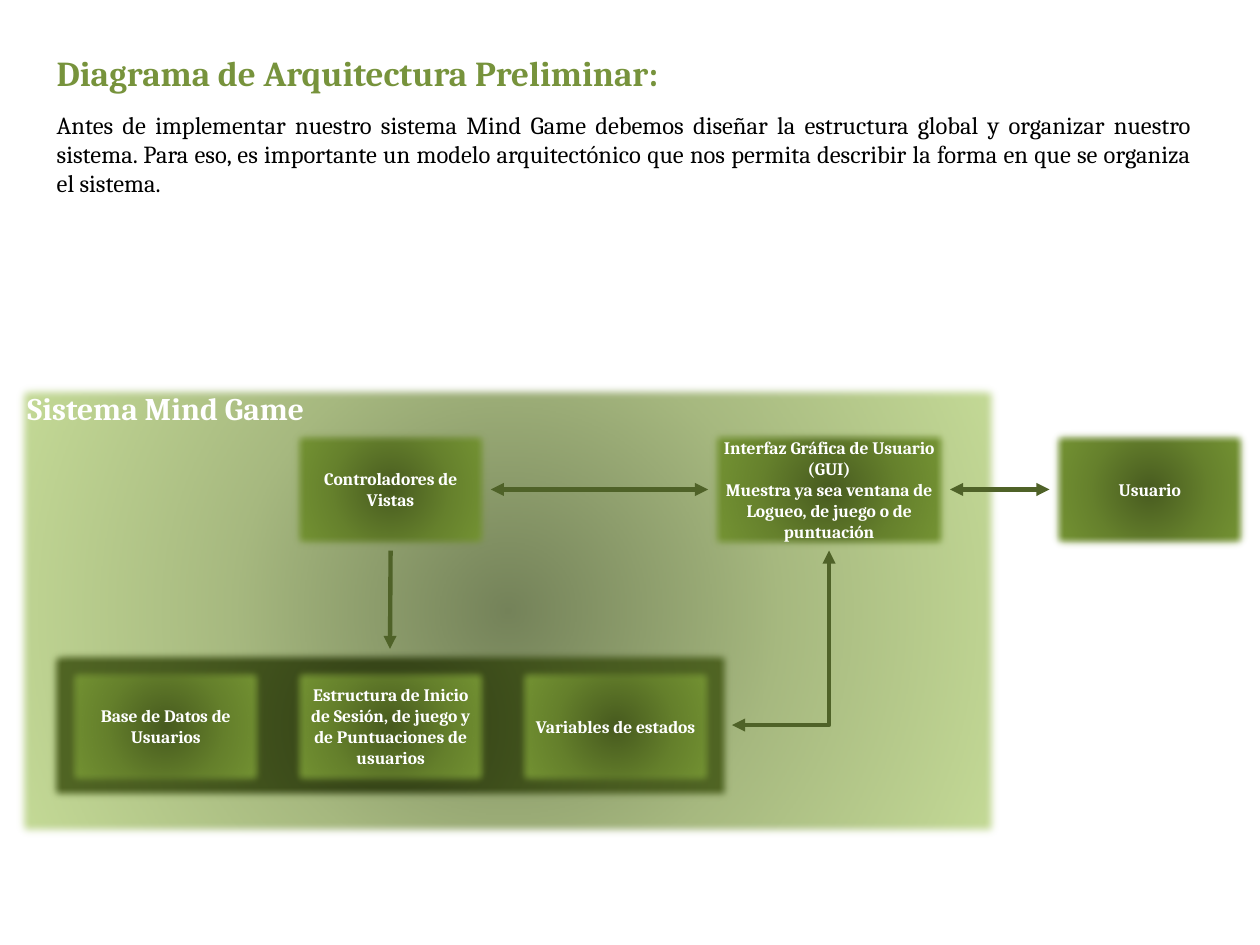
from dataclasses import dataclass

from lxml import etree
from pptx import Presentation
from pptx import util as u
from pptx.dml.color import RGBColor
from pptx.enum import shapes, text
from pptx.oxml import ns, parse_xml


@dataclass(frozen=True)
class Theme:
    font: str = "Cambria"
    heading: str = "77933C"
    ink: str = "000000"
    light: str = "FFFFFF"
    arrow: str = "4F6228"
    # Radial gradients from centre to edge, with the outline colour last
    system: tuple = ("748259", "A6B87F", "C5DB97", "C3D69B")
    module: tuple = ("485B20", "66812D", "799936", "77933C")
    storage: tuple = ("303D15", "44561E", "516624", "4F6228")
    title_size: float = 20
    body_size: float = 14
    label_size: float = 18
    module_size: float = 10
    outline: float = 2
    arrow_width: float = 2.5
    soft_edge: float = 5


class ArchitectureSlide:
    """Places elements on a grid of 100 columns by 75 rows."""

    COLUMNS, ROWS = 100, 75

    def __init__(self, presentation, theme):
        self.theme = theme
        self.cell_width = presentation.slide_width / self.COLUMNS
        self.cell_height = presentation.slide_height / self.ROWS
        self.slide = presentation.slides.add_slide(presentation.slide_layouts[1])

    def box(self, column, row, columns, rows):
        return (round(column * self.cell_width), round(row * self.cell_height),
                round(columns * self.cell_width), round(rows * self.cell_height))

    def fill_text(self, shape, content, size, color, bold=True,
                  align=text.PP_ALIGN.LEFT, anchor=text.MSO_ANCHOR.TOP):
        frame = shape.text_frame
        frame.text = content
        frame.word_wrap = True
        frame.auto_size = text.MSO_AUTO_SIZE.NONE
        frame.vertical_anchor = anchor
        for paragraph in frame.paragraphs:
            paragraph.alignment = align
            paragraph.space_before = u.Pt(0)
            for run in paragraph.runs:
                run.font.name = self.theme.font
                run.font.size = u.Pt(size)
                run.font.bold = bold
                run.font.color.rgb = RGBColor.from_string(color)

    def placeholder(self, index, cells, content, size, color, **style):
        shape = self.slide.placeholders[index]
        shape.left, shape.top, shape.width, shape.height = self.box(*cells)
        self.fill_text(shape, content, size, color, **style)
        for paragraph in shape.text_frame.paragraphs:
            properties = paragraph._p.get_or_add_pPr()
            properties.set("marL", "0")
            properties.set("indent", "0")
            etree.SubElement(properties, ns.qn("a:buNone"))

    def label(self, cells, content):
        shape = self.slide.shapes.add_textbox(*self.box(*cells))
        self.fill_text(shape, content, self.theme.label_size, self.theme.light)

    def block(self, cells, colors, content=""):
        """Rectangle with a radial gradient and soft edges."""
        shape = self.slide.shapes.add_shape(
            shapes.MSO_SHAPE.RECTANGLE, *self.box(*cells))
        shape.shadow.inherit = False
        *stops, outline = colors
        shape.line.color.rgb = RGBColor.from_string(outline)
        shape.line.width = u.Pt(self.theme.outline)
        stop_xml = "".join(
            f'<a:gs pos="{i * 50000}"><a:srgbClr val="{color}"/></a:gs>'
            for i, color in enumerate(stops))
        properties = shape._element.spPr
        properties.find(ns.qn("a:prstGeom")).addnext(parse_xml(
            f'<a:gradFill {ns.nsdecls("a")}><a:gsLst>{stop_xml}</a:gsLst>'
            '<a:path path="circle"><a:fillToRect l="50000" t="50000" '
            'r="50000" b="50000"/></a:path></a:gradFill>'))
        etree.SubElement(properties.find(ns.qn("a:effectLst")),
                         ns.qn("a:softEdge"), rad=str(int(u.Pt(self.theme.soft_edge))))
        if content:
            self.fill_text(shape, content, self.theme.module_size, self.theme.light,
                           align=text.PP_ALIGN.CENTER, anchor=text.MSO_ANCHOR.MIDDLE)
        return shape

    def arrow(self, start, start_site, end, end_site, both=True, bent=False):
        """Connector between sites: 0 top, 1 left, 2 bottom, 3 right."""
        kind = shapes.MSO_CONNECTOR.ELBOW if bent else shapes.MSO_CONNECTOR.STRAIGHT
        connector = self.slide.shapes.add_connector(kind, 0, 0, 0, 0)
        connector.begin_connect(start, start_site)
        connector.end_connect(end, end_site)
        connector.line.color.rgb = RGBColor.from_string(self.theme.arrow)
        connector.line.width = u.Pt(self.theme.arrow_width)
        properties = connector._element.spPr
        if bent:
            properties.find(ns.qn("a:prstGeom")).set("prst", "bentConnector2")
        line = properties.find(ns.qn("a:ln"))
        for end_name in ("headEnd", "tailEnd") if both else ("tailEnd",):
            etree.SubElement(line, ns.qn(f"a:{end_name}"), type="triangle")
        etree.SubElement(properties, ns.qn("a:effectLst"))


def main():
    presentation = Presentation()
    presentation.slide_width, presentation.slide_height = u.Inches(10), u.Inches(7.5)
    theme = Theme()
    page = ArchitectureSlide(presentation, theme)

    # Title and introduction
    page.placeholder(0, (3.5, 3.6, 51, 4.4), "Diagrama de Arquitectura Preliminar:",
                     theme.title_size, theme.heading)
    page.placeholder(
        1, (3.5, 8.2, 92.1, 8.1),
        "Antes de implementar nuestro sistema Mind Game debemos diseñar la estructura "
        "global y organizar nuestro sistema. Para eso, es importante un modelo "
        "arquitectónico que nos permita describir la forma en que se organiza el sistema.",
        theme.body_size, theme.ink, bold=False, align=text.PP_ALIGN.JUSTIFY)

    # System boundary and its upper row of modules
    width, height, upper_row, lower_row = 15.9, 9.7, 34, 52.8
    first_column, pitch = 5.2, 17.85
    page.block((1.2, 30.4, 78.2, 36.2), theme.system)
    user = page.block((83.3, upper_row, width, height), theme.module, "Usuario")
    interface = page.block(
        (56.2, upper_row, 19.2, height), theme.module,
        "Interfaz Gráfica de Usuario\n(GUI)\n"
        "Muestra ya sea ventana de Logueo, de juego o de puntuación")
    controllers = page.block((first_column + pitch, upper_row, width, height),
                             theme.module, "Controladores de Vistas")

    # Storage panel with three evenly spaced modules
    storage = page.block((3.8, 51.5, 54.3, 12.1), theme.storage)
    contents = ("Base de Datos de Usuarios",
                "Estructura de Inicio de Sesión, de juego y de Puntuaciones de usuarios",
                "Variables de estados")
    for i, content in enumerate(contents):
        page.block((first_column + i * pitch, lower_row, width, height),
                   theme.module, content)

    # Arrows
    page.arrow(user, 1, interface, 3)
    page.arrow(interface, 1, controllers, 3)
    page.arrow(controllers, 2, storage, 0, both=False)
    page.arrow(storage, 3, interface, 2, bent=True)

    # System label
    page.label((1.2, 30.4, 34.6, 4), "Sistema Mind Game")

    presentation.save("out.pptx")


if __name__ == "__main__":
    main()
